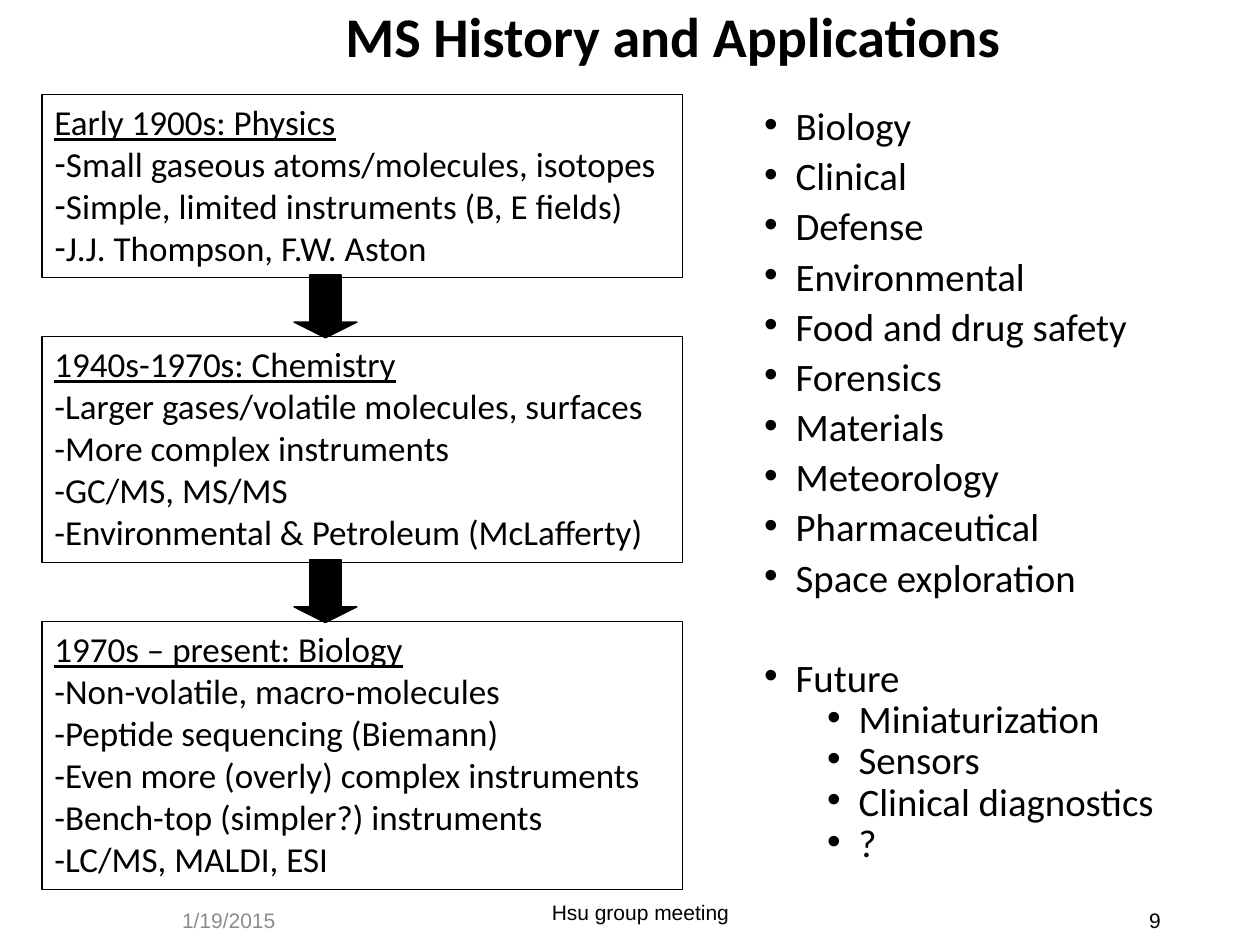
import pptx
import pptx.util
import pptx.dml.color
import pptx.enum.shapes
import pptx.enum.text
import pptx.oxml.ns
import lxml.etree

Pt = pptx.util.Pt
Kind = pptx.enum.shapes.MSO_SHAPE
Align = pptx.enum.text.PP_ALIGN
Anchor = pptx.enum.text.MSO_ANCHOR
BLACK = pptx.dml.color.RGBColor(0, 0, 0)
WHITE = pptx.dml.color.RGBColor(255, 255, 255)
GRAY = pptx.dml.color.RGBColor(0x8C, 0x8C, 0x8C)

deck = pptx.Presentation()
deck.slide_width = pptx.util.Inches(10)
deck.slide_height = pptx.util.Inches(7.5)
slide = deck.slides.add_slide(deck.slide_layouts[6])

# Grid: 30 columns by 75 rows
COL = deck.slide_width / 30
ROW = deck.slide_height / 75


def place(left, top, width, height):
    return int(left * COL), int(top * ROW), int(width * COL), int(height * ROW)


def write(para, text, size, face="Calibri", color=BLACK, mark=None, left=0, hang=0):
    if mark:
        props = para._p.get_or_add_pPr()
        props.set("marL", str(int(left * COL)))
        props.set("indent", str(int(-hang * COL)))
        for tag, key, value in (("a:buFont", "typeface", "Arial"),
                                ("a:buChar", "char", mark)):
            lxml.etree.SubElement(props, pptx.oxml.ns.qn(tag)).set(key, value)
    run = para.add_run()
    run.text = text
    run.font.size = Pt(size)
    run.font.name = face
    run.font.color.rgb = color
    return run


# Title
frame = slide.shapes.add_textbox(*place(7.65, 0.2, 16.75, 7.5)).text_frame
frame.word_wrap = True
para = frame.paragraphs[0]
para.alignment = Align.CENTER
para.line_spacing = 0.9
write(para, "MS History and Applications", 32).font.bold = True

# Application list: text, level, space before
fields = ["Biology", "Clinical", "Defense", "Environmental", "Food and drug safety",
          "Forensics", "Materials", "Meteorology", "Pharmaceutical", "Space exploration"]
trends = ["Miniaturization", "Sensors", "Clinical diagnostics", "?"]
items = [(name, 0, 10) for name in fields]
items += [("Future", 0, 38.6)]
items += [(name, 1, 5) for name in trends]

frame = slide.shapes.add_textbox(*place(17.9, 8.6, 10.5, 60.8)).text_frame
frame.word_wrap = True
for i, (name, level, space) in enumerate(items):
    para = frame.add_paragraph() if i else frame.paragraphs[0]
    para.level = level
    para.line_spacing = 0.7
    para.space_before = Pt(space if i else 0)
    write(para, name, 22.2, mark="•", left=0.75 + 1.5 * level, hang=0.75)

# Eras: heading, bullet mark, lines
eras = [
    ("Early 1900s: Physics", "-",
     ["Small gaseous atoms/molecules, isotopes",
      "Simple, limited instruments (B, E fields)",
      "J.J. Thompson, F.W. Aston"]),
    ("1940s-1970s: Chemistry", None,
     ["-Larger gases/volatile molecules, surfaces",
      "-More complex instruments",
      "-GC/MS, MS/MS",
      "-Environmental & Petroleum (McLafferty)"]),
    ("1970s – present: Biology", None,
     ["-Non-volatile, macro-molecules",
      "-Peptide sequencing (Biemann)",
      "-Even more (overly) complex instruments",
      "-Bench-top (simpler?) instruments",
      "-LC/MS, MALDI, ESI"]),
]
LINE, PAD, GAP = 3.38, 1, 4.7
top = 7.5
ends = []
for head, mark, lines in eras:
    tall = PAD + LINE * (1 + len(lines))
    box = slide.shapes.add_shape(Kind.RECTANGLE, *place(1, top, 15.25, tall))
    box.shadow.inherit = False
    box.fill.solid()
    box.fill.fore_color.rgb = WHITE
    box.line.color.rgb = BLACK
    box.line.width = Pt(0.75)
    frame = box.text_frame
    frame.word_wrap = True
    frame.vertical_anchor = Anchor.TOP
    para = frame.paragraphs[0]
    para.alignment = Align.LEFT
    write(para, head, 20).font.underline = True
    for line in lines:
        para = frame.add_paragraph()
        para.alignment = Align.LEFT
        write(para, line, 20, mark=mark)
    ends.append(top + tall)
    top += tall + GAP

# Arrows between eras
for end in ends[:-1]:
    arrow = slide.shapes.add_shape(Kind.DOWN_ARROW, *place(7, end - 0.2, 1.5, 5))
    arrow.adjustments[0] = 0.5
    arrow.adjustments[1] = 0.25
    arrow.shadow.inherit = False
    arrow.fill.solid()
    arrow.fill.fore_color.rgb = BLACK
    arrow.line.color.rgb = BLACK
    arrow.line.width = Pt(0.75)

# Footer
for text, spot, align, color in [
    ("1/19/2015", (2.07, 71, 6.75, 4), Align.CENTER, GRAY),
    ("Hsu group meeting", (10.5, 69.8, 9.5, 5.2), Align.CENTER, BLACK),
    ("9", (21.18, 71, 6.75, 4), Align.RIGHT, BLACK),
]:
    frame = slide.shapes.add_textbox(*place(*spot)).text_frame
    frame.word_wrap = True
    frame.vertical_anchor = Anchor.MIDDLE
    para = frame.paragraphs[0]
    para.alignment = align
    write(para, text, 12, "Arial", color)

deck.save("out.pptx")
